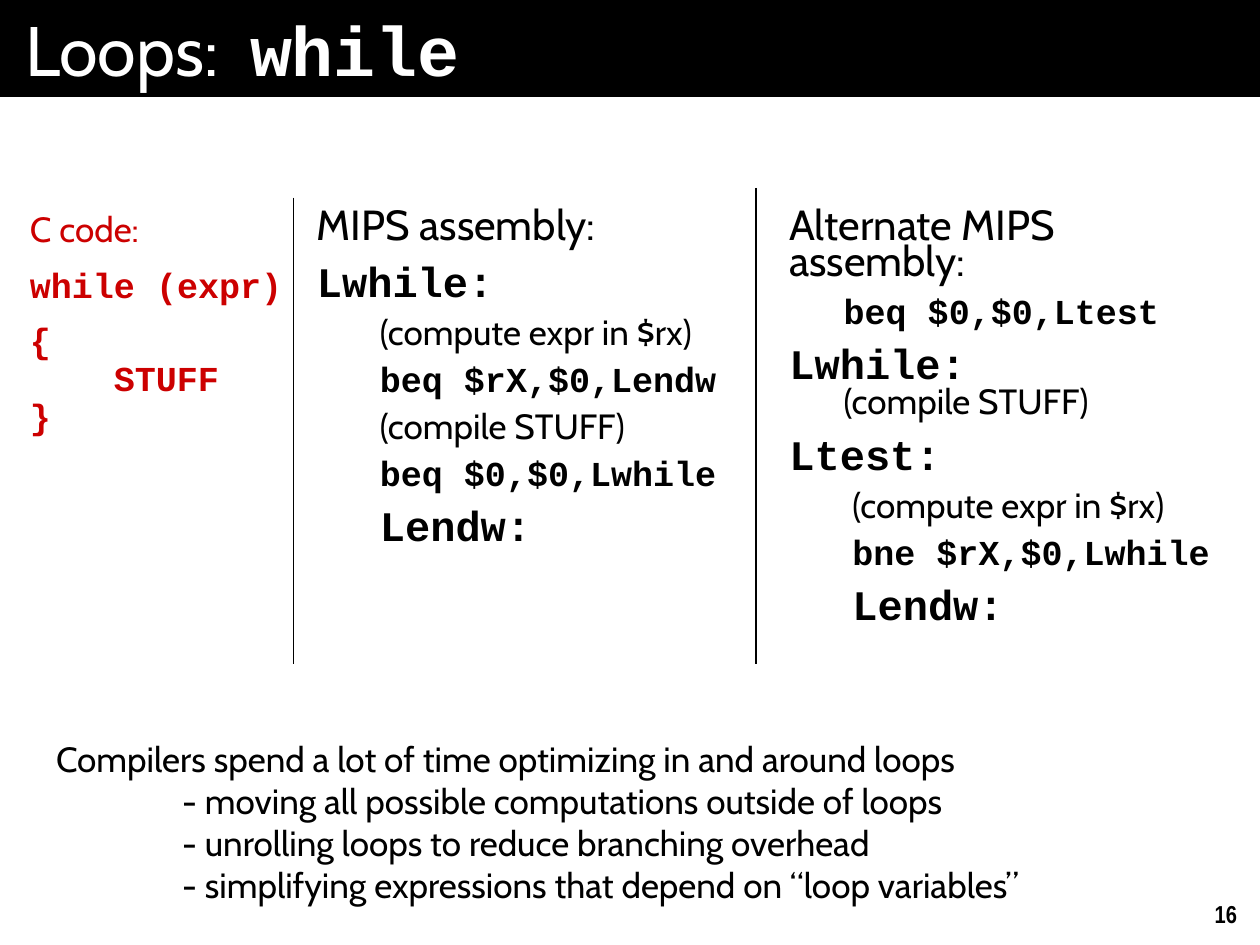
from lxml.etree import SubElement
from pptx import Presentation
from pptx.dml.color import RGBColor
from pptx.enum.shapes import MSO_CONNECTOR, MSO_SHAPE
from pptx.enum.text import MSO_ANCHOR, PP_ALIGN
from pptx.oxml.ns import qn
from pptx.util import Pt

BLACK, WHITE, RED = "000000", "FFFFFF", "CC0000"
SANS, MONO, NARROW = "Cabin", "Courier New", "Arial Narrow"
INDENT, ALT_INDENT, REMARK_INDENT = 36, 31, 72

LABEL = (MONO, 24, True)
CODE = (MONO, 20, True)
NOTE = (SANS, 20, False)
HEADING = (SANS, 24, False)
TITLE = (SANS, 40, False)
TITLE_GAP = (MONO, 30, True)
TITLE_CODE = (MONO, 40, True)
PAGE = (NARROW, 14, True)

TITLE_RUNS = [("Loops:", TITLE), (" ", TITLE_GAP), ("while", TITLE_CODE)]

COLUMNS = [
    dict(box=(10, 118, 206, 140), color=RED, line=0.9, tab=48, lines=[
        (0, [("C code:", NOTE)]),
        (0, [("while (expr)", CODE)]),
        (0, [("{\n\tSTUFF\n}", CODE)]),
    ]),
    dict(box=(174, 118, 270, 215), color=BLACK, line=0.7, tab=None, lines=[
        (0, [("MIPS assembly:", HEADING)]),
        (0, [("Lwhile:", LABEL)]),
        (INDENT, [("(compute expr in $rx)", NOTE)]),
        (INDENT, [("beq $rX,$0,Lendw", CODE)]),
        (INDENT, [("(compile STUFF)", NOTE)]),
        (INDENT, [("beq $0,$0,Lwhile", CODE)]),
        (INDENT, [("Lendw:", LABEL)]),
    ]),
    dict(box=(444, 118, 264, 261), color=BLACK, line=0.7, tab=ALT_INDENT, lines=[
        (0, [("Alternate MIPS assembly:", HEADING)]),
        (ALT_INDENT, [("beq $0,$0,Ltest", CODE)]),
        (0, [("Lwhile:\n\t", LABEL), ("(compile STUFF)", NOTE)]),
        (0, [("Ltest:", LABEL)]),
        (INDENT, [("(compute expr in $rx)", NOTE)]),
        (INDENT, [("bne $rX,$0,Lwhile", CODE)]),
        (INDENT, [("Lendw:", LABEL)]),
    ]),
]

DIVIDERS = [(167.8, 113, 379.5), (432, 107.3, 379.5)]

REMARKS = [
    (0, "Compilers spend a lot of time optimizing in and around loops"),
    (REMARK_INDENT, "- moving all possible computations outside of loops"),
    (REMARK_INDENT, "- unrolling loops to reduce branching overhead"),
    (REMARK_INDENT, "- simplifying expressions that depend on “loop variables”"),
]


def rgb(value):
    return RGBColor.from_string(value)


def set_font(font, style, color):
    font.name, size, font.bold = style
    font.size = Pt(size)
    font.color.rgb = rgb(color)


def add_runs(p, runs, color):
    for text, style in runs:
        for i, piece in enumerate(text.split("\n")):
            if i:
                p.add_line_break()
            if piece:
                r = p.add_run()
                r.text = piece
                if len(runs) > 1:
                    set_font(r.font, style, color)
    if len(runs) == 1:
        set_font(p.font, runs[0][1], color)


def set_indent(p, indent):
    if indent:
        pPr = p._p.get_or_add_pPr()
        pPr.set("marL", str(Pt(indent)))
        pPr.set("indent", "0")


def set_tab(p, tab):
    pPr = p._p.get_or_add_pPr()
    tabs = pPr.makeelement(qn("a:tabLst"), {})
    SubElement(tabs, qn("a:tab"), pos=str(Pt(tab)), algn="l")
    pPr.insert_element_before(tabs, "a:defRPr", "a:extLst")


def add_text(slide, box, paragraphs, color, wrap=True):
    tf = slide.shapes.add_textbox(*map(Pt, box)).text_frame
    tf.word_wrap = wrap
    for i, (indent, runs) in enumerate(paragraphs):
        p = tf.add_paragraph() if i else tf.paragraphs[0]
        add_runs(p, runs, color)
        set_indent(p, indent)
    return tf


def add_column(slide, box, color, line, tab, lines):
    tf = add_text(slide, box, lines, color)
    for p, (_, runs) in zip(tf.paragraphs, lines):
        _, size, _ = runs[0][1]
        p.line_spacing = line
        p.space_before = Pt(size / 2)
        if "\t" in p.text:
            set_tab(p, tab)


def add_title(slide):
    sp = slide.shapes.add_shape(MSO_SHAPE.RECTANGLE, 0, 0, Pt(720), Pt(55.4))
    sp.shadow.inherit = False
    sp.fill.solid()
    sp.fill.fore_color.rgb = rgb(BLACK)
    sp.line.fill.background()
    tf = sp.text_frame
    tf.margin_left = tf.margin_right = Pt(14.4)
    tf.vertical_anchor = MSO_ANCHOR.MIDDLE
    p = tf.paragraphs[0]
    p.alignment = PP_ALIGN.LEFT
    add_runs(p, TITLE_RUNS, WHITE)


def add_divider(slide, x, top, bottom):
    line = slide.shapes.add_connector(
        MSO_CONNECTOR.STRAIGHT, Pt(x), Pt(top), Pt(x), Pt(bottom))
    line.line.color.rgb = rgb(BLACK)
    line.line.width = Pt(0.75)
    SubElement(line._element.spPr, qn("a:effectLst"))


def main():
    prs = Presentation()
    prs.slide_width, prs.slide_height = Pt(720), Pt(540)
    slide = prs.slides.add_slide(prs.slide_layouts[6])
    add_title(slide)
    for column in COLUMNS:
        add_column(slide, **column)
    for divider in DIVIDERS:
        add_divider(slide, *divider)
    remarks = [(indent, [(text, NOTE)]) for indent, text in REMARKS]
    add_text(slide, (25, 417.6, 593, 104.4), remarks, BLACK, wrap=False)
    page = add_text(slide, (684, 510, 30, 24), [(0, [("16", PAGE)])], BLACK)
    page.paragraphs[0].alignment = PP_ALIGN.RIGHT
    prs.save("out.pptx")


if __name__ == "__main__":
    main()
